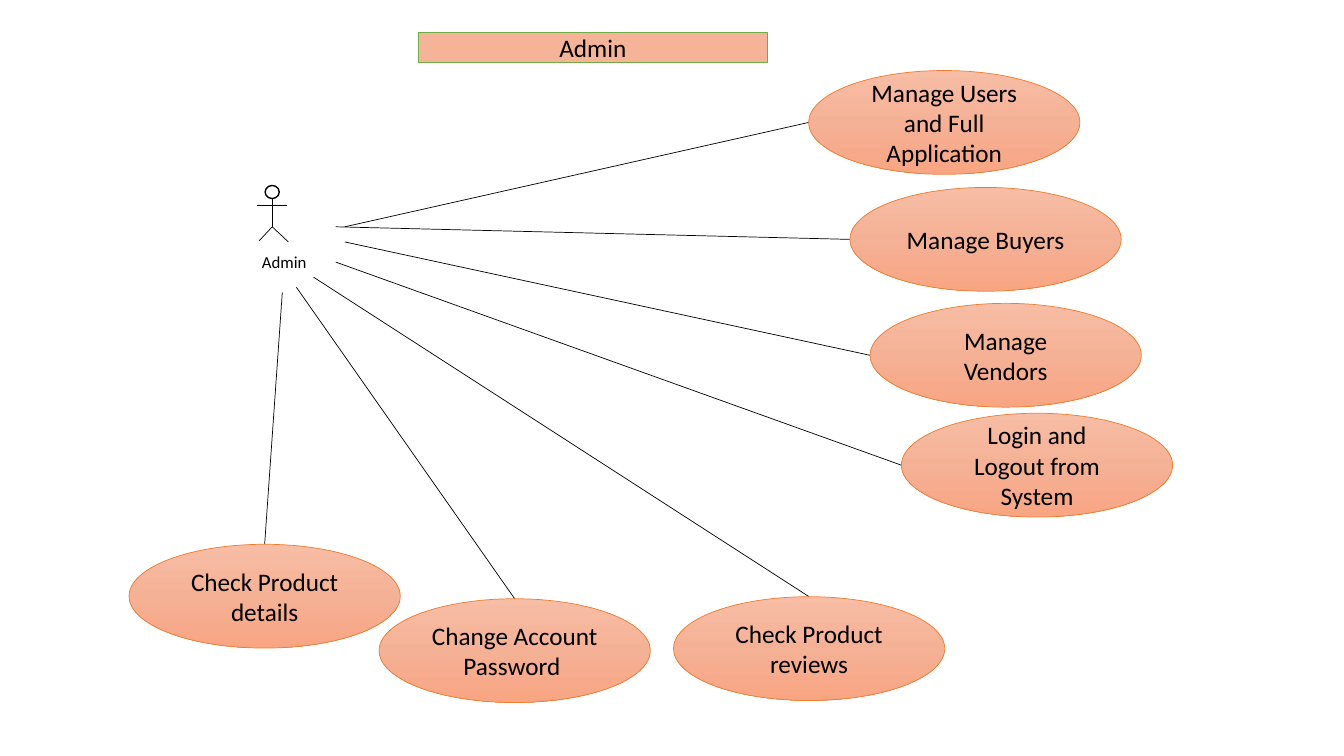
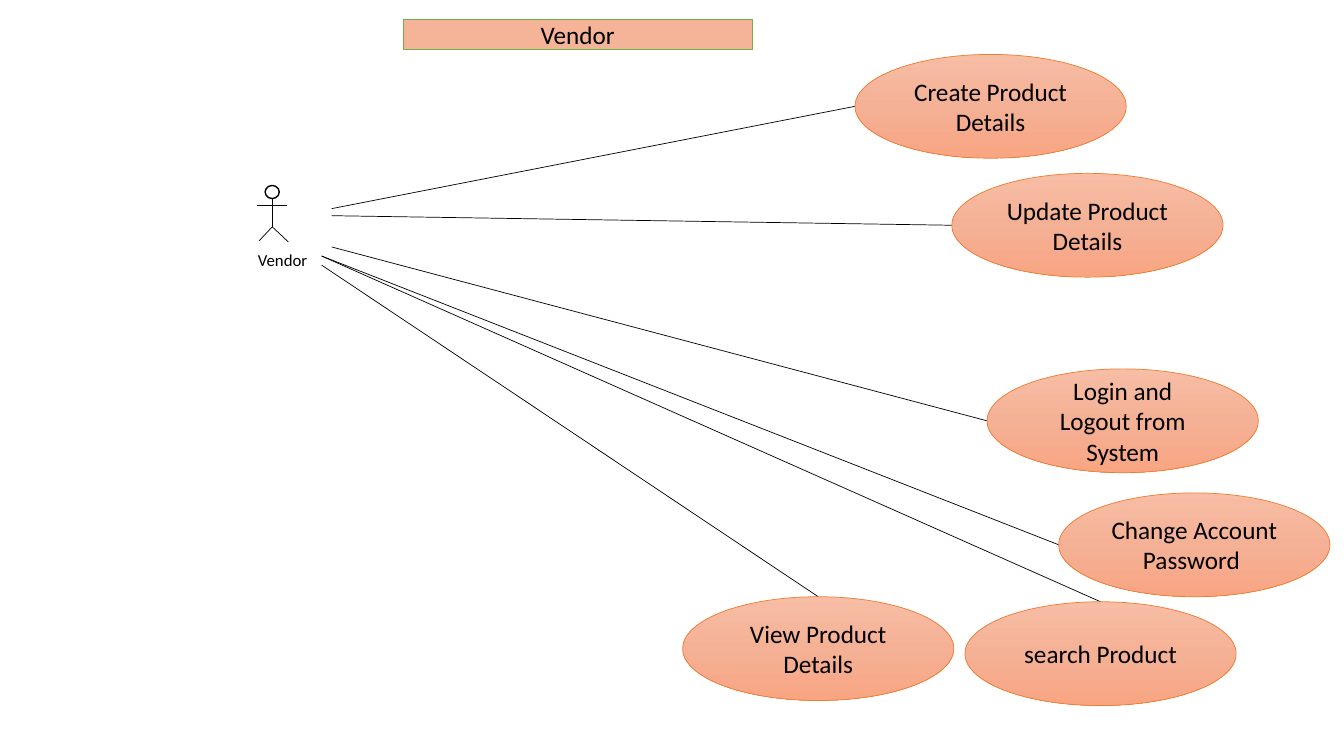
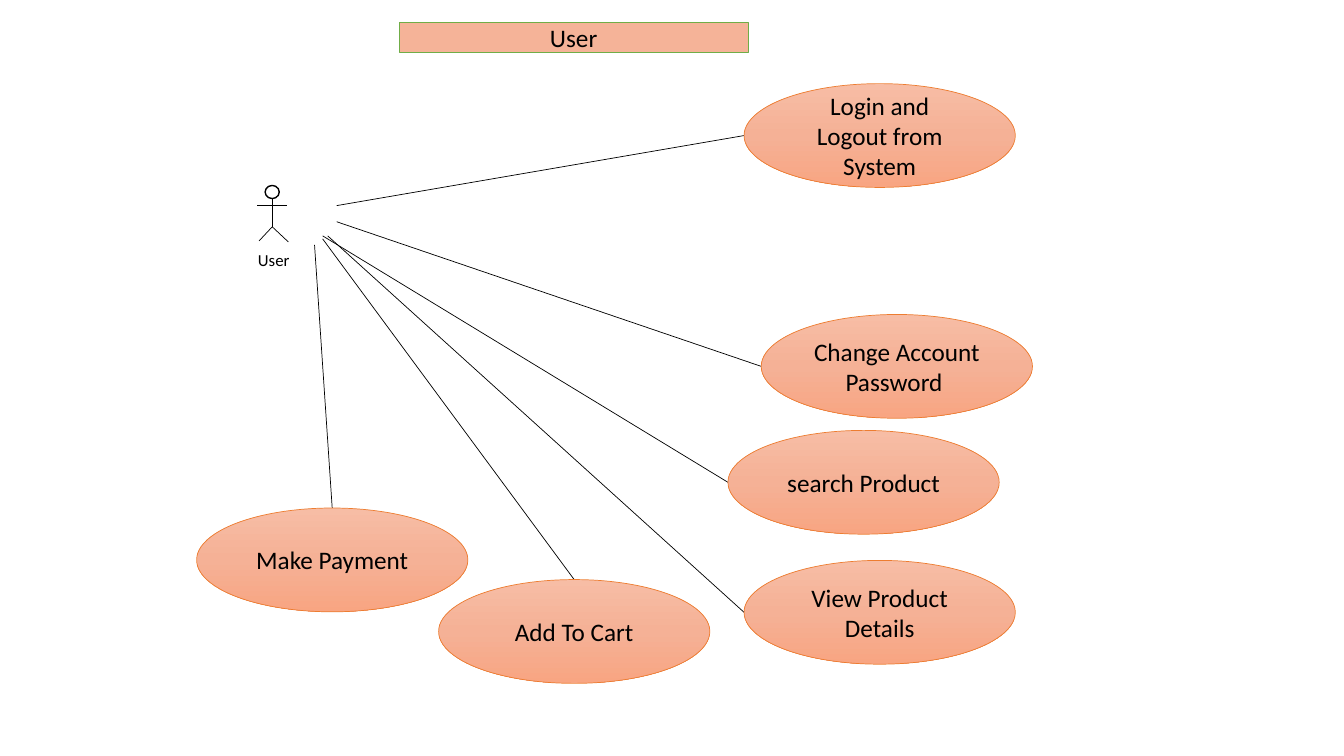
from copy import deepcopy

from pptx import Presentation
from pptx.dml.color import RGBColor
from pptx.enum.shapes import MSO_CONNECTOR, MSO_SHAPE
from pptx.enum.text import MSO_ANCHOR, MSO_AUTO_SIZE, PP_ALIGN
from pptx.oxml.ns import qn
from pptx.oxml.xmlchemy import OxmlElement
from pptx.util import Inches, Pt

STRAIGHT = MSO_CONNECTOR.STRAIGHT
OVAL = MSO_SHAPE.OVAL
CENTER = PP_ALIGN.CENTER
MIDDLE = MSO_ANCHOR.MIDDLE

COLORS = {
    "text": "000000",
    "white": "FFFFFF",
    "banner": "F5B398",
    "banner_line": "70AD47",
    "oval_line": "ED7D31",
}
OVAL_GRADIENT = [(0, "F7BDA5"), (0.5, "F5B196"), (1, "F8A582")]
FONT = "Calibri"
TITLE_ONLY = 5
OVAL_WIDTH, OVAL_HEIGHT = 2.69, 1.03
BANNER_WIDTH, BANNER_HEIGHT = 3.46, 0.3

# Spine, arms, right leg and left leg of the actor
ACTOR_LIMBS = [
    ((2.7, 1.97), (2.7, 2.25)),
    ((2.55, 2.04), (2.85, 2.04)),
    ((2.7, 2.25), (2.86, 2.4)),
    ((2.7, 2.25), (2.57, 2.39)),
]

# Each use case: text, left and top of its oval, start of its line, side the line meets
DIAGRAMS = [
    {
        "actor": "Admin", "banner": (4.15, 0.32), "label": (2.5, 2.45),
        "use_cases": [
            ("Manage Users and Full Application", (8.02, 0.7), (3.42, 2.25), "left"),
            ("Manage Buyers", (8.43, 1.86), (3.33, 2.25), "left"),
            ("Manage Vendors", (8.63, 3.01), (3.42, 2.4), "left"),
            ("Login and Logout from System", (8.94, 4.1), (3.33, 2.6), "left"),
            ("Change Account Password ", (3.76, 5.94), (2.94, 2.85), "top"),
            ("Check Product details", (1.28, 5.4), (2.8, 2.9), "top"),
            ("Check Product reviews", (6.68, 5.92), (3.11, 2.75), "top"),
        ],
    },
    {
        "actor": "Vendor", "banner": (4, 0.19), "label": (2.46, 2.43),
        "use_cases": [
            ("Create Product Details", (8.48, 0.54), (3.29, 2.07), "left"),
            ("Update Product Details", (9.44, 1.72), (3.29, 2.14), "left"),
            ("Login and Logout from System", (9.79, 3.66), (3.29, 2.45), "left"),
            ("Change Account Password ", (10.5, 4.89), (3.19, 2.54), "left"),
            ("search Product", (9.57, 5.97), (3.19, 2.54), "top"),
            ("View Product Details", (6.77, 5.92), (3.19, 2.63), "top"),
        ],
    },
    {
        "actor": "User", "banner": (3.96, 0.22), "label": (2.46, 2.43),
        "use_cases": [
            ("Login and Logout from System", (7.38, 0.83), (3.34, 2.04), "left"),
            ("Change Account Password ", (7.55, 3.12), (3.34, 2.2), "left"),
            ("search Product", (7.22, 4.27), (3.2, 2.34), "left"),
            ("View Product Details", (7.38, 5.56), (3.25, 2.34), "left"),
            ("Add To Cart", (4.35, 5.75), (3.2, 2.37), "top"),
            ("Make Payment", (1.95, 5.04), (3.12, 2.43), "top"),
        ],
    },
]


def add_line(slide, start, end):
    connector = slide.shapes.add_connector(
        STRAIGHT, *[Inches(value) for value in (*start, *end)])
    connector.line.color.rgb = RGBColor.from_string(COLORS["text"])
    connector.line.width = Pt(0.5)
    connector._element.spPr.append(OxmlElement("a:effectLst"))


def write_text(shape, text, size, alignment=None):
    """Fill the shape with one paragraph in the common font and colour."""
    shape.text_frame.text = text
    paragraph = shape.text_frame.paragraphs[0]
    paragraph.alignment = alignment
    font = paragraph.runs[0].font
    font.name = FONT
    font.size = Pt(size)
    font.color.rgb = RGBColor.from_string(COLORS["text"])


presentation = Presentation()
presentation.slide_width = Inches(13.33)
presentation.slide_height = Inches(7.5)

for diagram in DIAGRAMS:
    slide = presentation.slides.add_slide(presentation.slide_layouts[TITLE_ONLY])

    # Title banner
    banner = slide.shapes.title
    banner.left, banner.top = [Inches(value) for value in diagram["banner"]]
    banner.width, banner.height = Inches(BANNER_WIDTH), Inches(BANNER_HEIGHT)
    banner.fill.solid()
    banner.fill.fore_color.rgb = RGBColor.from_string(COLORS["banner"])
    banner.line.color.rgb = RGBColor.from_string(COLORS["banner_line"])
    banner.line.width = Pt(0.5)
    write_text(banner, diagram["actor"], 18, CENTER)
    banner.text_frame.vertical_anchor = MIDDLE
    banner.text_frame.auto_size = MSO_AUTO_SIZE.NONE

    # Actor
    head = slide.shapes.add_shape(
        OVAL, Inches(2.63), Inches(1.84), Inches(0.14), Inches(0.13))
    head.shadow.inherit = False
    head.fill.solid()
    head.fill.fore_color.rgb = RGBColor.from_string(COLORS["white"])
    head.line.color.rgb = RGBColor.from_string(COLORS["text"])
    head.line.width = Pt(1)
    for start, end in ACTOR_LIMBS:
        add_line(slide, start, end)
    left, top = diagram["label"]
    label = slide.shapes.add_textbox(
        Inches(left), Inches(top), Inches(1.22), Inches(0.3))
    write_text(label, diagram["actor"], 12)
    label.text_frame.word_wrap = True
    label.text_frame.auto_size = MSO_AUTO_SIZE.SHAPE_TO_FIT_TEXT

    # Use cases, each joined to the actor
    for text, (left, top), start, side in diagram["use_cases"]:
        if side == "left":
            end = (left, top + OVAL_HEIGHT / 2)
        else:
            end = (left + OVAL_WIDTH / 2, top)
        add_line(slide, start, end)

        use_case = slide.shapes.add_shape(
            OVAL, Inches(left), Inches(top), Inches(OVAL_WIDTH), Inches(OVAL_HEIGHT))
        use_case.shadow.inherit = False
        use_case.fill.gradient()
        use_case.fill.gradient_angle = 270
        # A new gradient has two stops; a third is needed
        stop_list = use_case._element.spPr.find(qn("a:gradFill")).find(qn("a:gsLst"))
        stop_list.append(deepcopy(stop_list[0]))
        for stop, (position, color) in zip(use_case.fill.gradient_stops, OVAL_GRADIENT):
            stop.position = position
            stop.color.rgb = RGBColor.from_string(color)
        use_case.line.color.rgb = RGBColor.from_string(COLORS["oval_line"])
        use_case.line.width = Pt(0.5)
        write_text(use_case, text, 18, CENTER)
        use_case.text_frame.vertical_anchor = MIDDLE

presentation.save("out.pptx")
